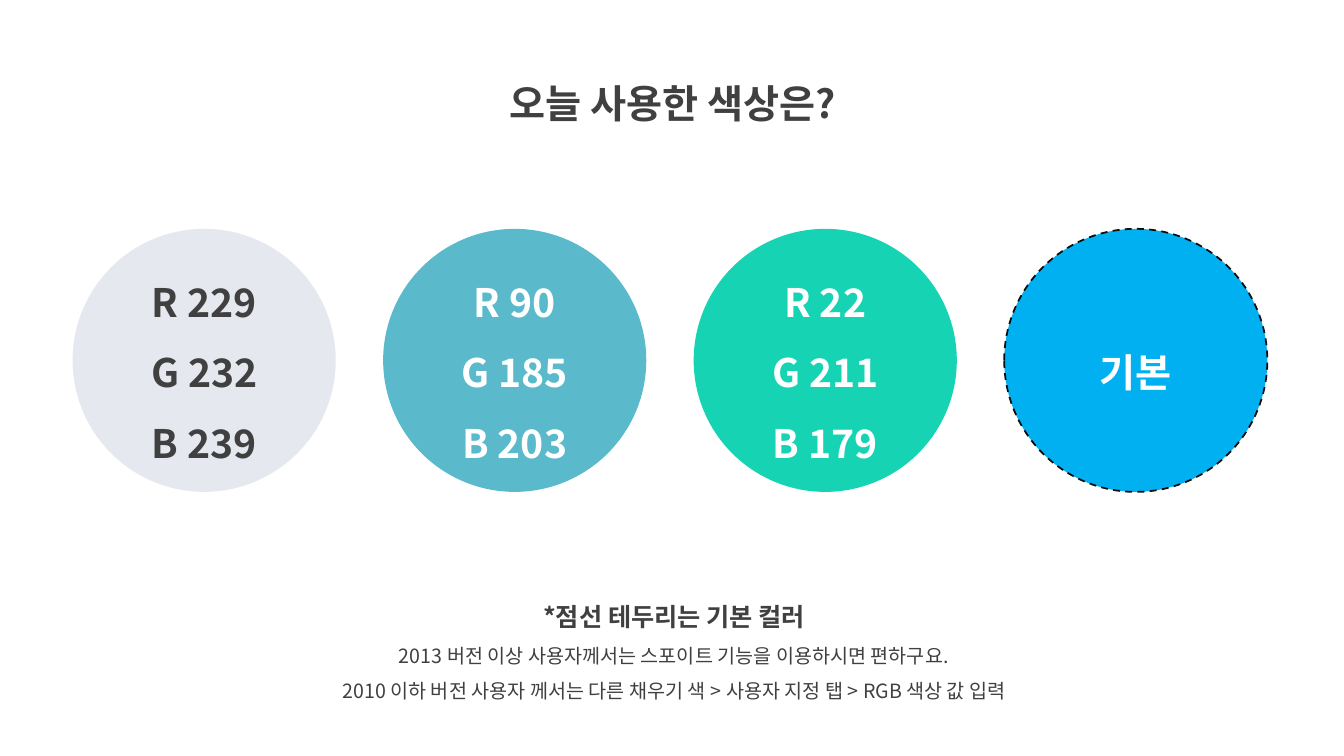
from lxml.etree import SubElement
from pptx import Presentation
from pptx.dml.color import RGBColor
from pptx.enum.dml import MSO_LINE
from pptx.enum.shapes import MSO_SHAPE
from pptx.enum.text import MSO_ANCHOR, MSO_AUTO_SIZE, PP_ALIGN
from pptx.oxml.ns import qn
from pptx.util import Inches, Pt

FONT = "Noto Sans CJK KR"
DARK = RGBColor(0x40, 0x40, 0x40)
WHITE = RGBColor(0xFF, 0xFF, 0xFF)
OUTLINE = RGBColor(0x0D, 0x0D, 0x0D)
GRAY = RGBColor(229, 232, 239)
BLUE = RGBColor(90, 185, 203)
GREEN = RGBColor(22, 211, 179)
BASIC = RGBColor(0x00, 0xB0, 0xF0)


def write_lines(tf, lines, color, anchor):
    """Fill a text frame with centred (text, size, bold) lines."""
    tf.word_wrap = True
    tf.auto_size = MSO_AUTO_SIZE.NONE
    tf.vertical_anchor = anchor
    for i, (text, size, bold) in enumerate(lines):
        p = tf.paragraphs[0] if i == 0 else tf.add_paragraph()
        p.text = text
        p.alignment = PP_ALIGN.CENTER
        p.line_spacing = 1.5
        p.font.name = FONT
        p.font.size = Pt(size)
        p.font.bold = bold
        p.font.color.rgb = color
        # Korean text takes the East Asian typeface
        SubElement(p.font._element, qn("a:ea"), typeface=FONT)


def add_title(slide, left, top, width, height):
    title = slide.shapes.title
    title.left, title.top = Inches(left), Inches(top)
    title.width, title.height = Inches(width), Inches(height)
    write_lines(title.text_frame, [("오늘 사용한 색상은?", 28, True)],
                DARK, MSO_ANCHOR.TOP)


def add_swatches(slide, left, top, diameter, pitch):
    swatches = [
        (GRAY, DARK, False),
        (BLUE, WHITE, False),
        (GREEN, WHITE, False),
        (BASIC, WHITE, True),
    ]
    for i, (fill, text_color, is_basic) in enumerate(swatches):
        sp = slide.shapes.add_shape(
            MSO_SHAPE.OVAL, Inches(left + i * pitch), Inches(top),
            Inches(diameter), Inches(diameter))
        sp.shadow.inherit = False
        sp.fill.solid()
        sp.fill.fore_color.rgb = fill
        if is_basic:
            sp.line.color.rgb = OUTLINE
            sp.line.width = Pt(1.25)
            sp.line.dash_style = MSO_LINE.DASH
            labels = ["기본"]
        else:
            sp.line.fill.background()
            labels = [f"{channel} {value}" for channel, value in zip("RGB", fill)]
        write_lines(sp.text_frame, [(label, 28, True) for label in labels],
                    text_color, MSO_ANCHOR.MIDDLE)


def add_notice(slide, left, top, width, height):
    box = slide.shapes.add_textbox(
        Inches(left), Inches(top), Inches(width), Inches(height))
    write_lines(box.text_frame, [
        ("*점선 테두리는 기본 컬러", 18, True),
        ("2013 버전 이상 사용자께서는 스포이트 기능을 이용하시면 편하구요.", 14, False),
        ("2010 이하 버전 사용자 께서는 다른 채우기 색 > 사용자 지정 탭 > RGB 색상 값 입력",
         14, False),
    ], DARK, MSO_ANCHOR.TOP)


def main():
    prs = Presentation()
    prs.slide_width, prs.slide_height = Inches(13.33), Inches(7.5)
    slide = prs.slides.add_slide(prs.slide_layouts[5])
    add_title(slide, 4.36, 0.5, 4.63, 0.72)
    add_swatches(slide, 0.72, 2.27, 2.61, 3.08)
    add_notice(slide, 2.69, 5.77, 7.99, 1.26)
    prs.save("out.pptx")


if __name__ == "__main__":
    main()
